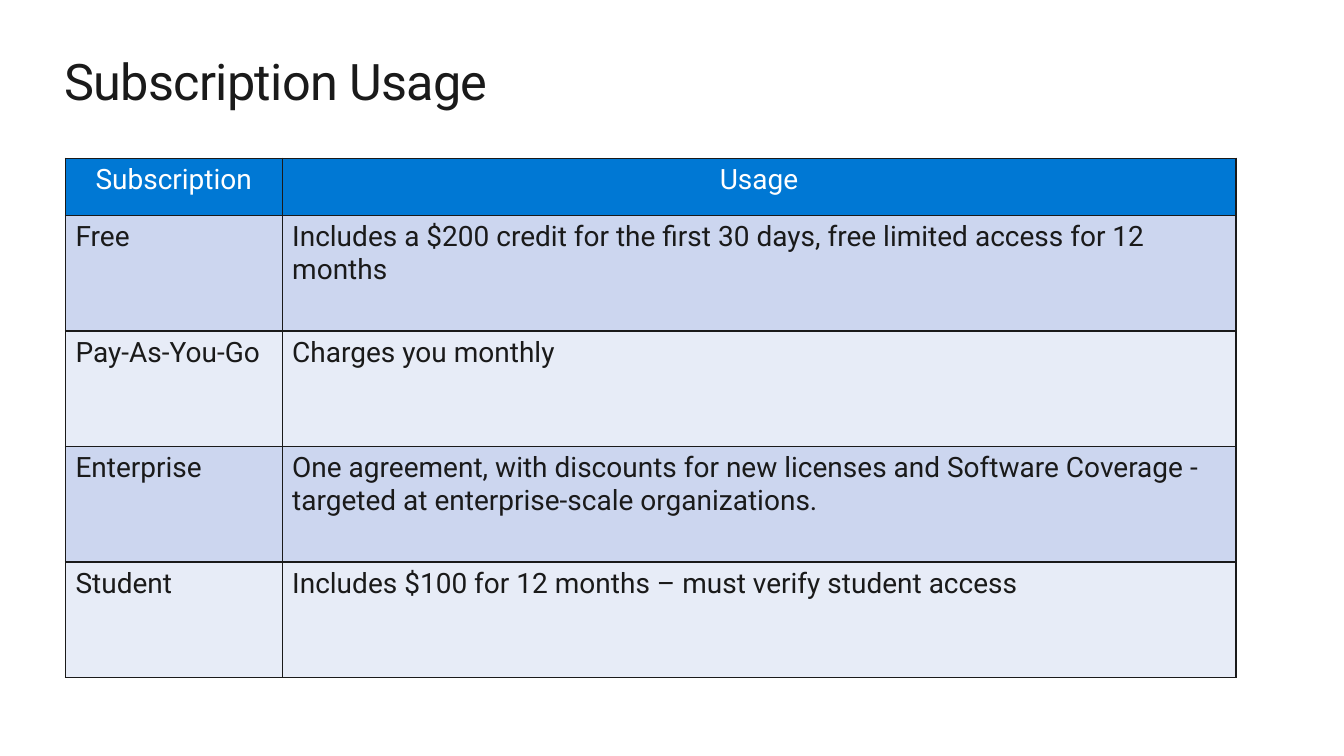
from pptx import Presentation
from pptx.dml.color import RGBColor
from pptx.enum.text import MSO_ANCHOR, PP_ALIGN
from pptx.oxml import parse_xml
from pptx.oxml.ns import nsdecls
from pptx.util import Cm, Pt

FONT = "Roboto"
INK = RGBColor(0x1A, 0x1A, 0x1A)
WHITE = RGBColor(0xFF, 0xFF, 0xFF)
BLUE = RGBColor(0x00, 0x78, 0xD4)
BAND_DARK = RGBColor(0xCC, 0xD6, 0xEF)
BAND_LIGHT = RGBColor(0xE7, 0xEC, 0xF7)

ROWS = [
    ("Subscription", "Usage"),
    ("Free", "Includes a $200 credit for the first 30 days, "
             "free limited access for 12 months"),
    ("Pay-As-You-Go", "Charges you monthly"),
    ("Enterprise", "One agreement, with discounts for new licenses and "
                   "Software Coverage - targeted at enterprise-scale organizations."),
    ("Student", "Includes $100 for 12 months – must verify student access"),
]
COLUMN_WIDTHS = (Cm(5.46), Cm(24.04))
HEADER_HEIGHT = Cm(1.44)
ROW_HEIGHT = Cm(2.91)


def write(tf, text, size, color, align=PP_ALIGN.LEFT):
    p = tf.paragraphs[0]
    p.alignment = align
    r = p.add_run()
    r.text = text
    r.font.name = FONT
    r.font.size = Pt(size)
    r.font.color.rgb = color
    return r


def add_title(s, text):
    sp = s.shapes.title
    sp.left, sp.top, sp.width, sp.height = Cm(1.63), Cm(1.27), Cm(30.61), Cm(1.55)
    tf = sp.text_frame
    tf.margin_left = tf.margin_right = tf.margin_top = tf.margin_bottom = 0
    tf.vertical_anchor = MSO_ANCHOR.TOP
    r = write(tf, text, 36, INK)
    r.font._element.set("spc", "-50")


def set_borders(cell, color, width):
    tcPr = cell._tc.get_or_add_tcPr()
    for i, side in enumerate(("lnL", "lnR", "lnT", "lnB")):
        tcPr.insert(i, parse_xml(
            f'<a:{side} {nsdecls("a")} w="{width}"><a:solidFill>'
            f'<a:srgbClr val="{color}"/></a:solidFill></a:{side}>'))


def fill_cell(cell, text, fill, color, align):
    cell.fill.solid()
    cell.fill.fore_color.rgb = fill
    write(cell.text_frame, text, 20, color, align)
    set_borders(cell, INK, Pt(1))


def add_usage_table(s):
    height = HEADER_HEIGHT + ROW_HEIGHT * (len(ROWS) - 1)
    table = s.shapes.add_table(len(ROWS), len(COLUMN_WIDTHS), Cm(1.65), Cm(3.99),
                               sum(COLUMN_WIDTHS), height).table
    for column, width in zip(table.columns, COLUMN_WIDTHS):
        column.width = width
    for i, texts in enumerate(ROWS):
        # Header row first, then alternating bands
        if i == 0:
            row_height, fill, color, align = HEADER_HEIGHT, BLUE, WHITE, PP_ALIGN.CENTER
        else:
            fill = BAND_DARK if i % 2 else BAND_LIGHT
            row_height, color, align = ROW_HEIGHT, INK, PP_ALIGN.LEFT
        table.rows[i].height = row_height
        for j, text in enumerate(texts):
            fill_cell(table.cell(i, j), text, fill, color, align)


def main():
    prs = Presentation()
    prs.slide_width, prs.slide_height = Cm(33.87), Cm(19.05)
    s = prs.slides.add_slide(prs.slide_layouts.get_by_name("Title Only"))
    add_title(s, "Subscription Usage")
    add_usage_table(s)
    prs.save("out.pptx")


if __name__ == "__main__":
    main()
